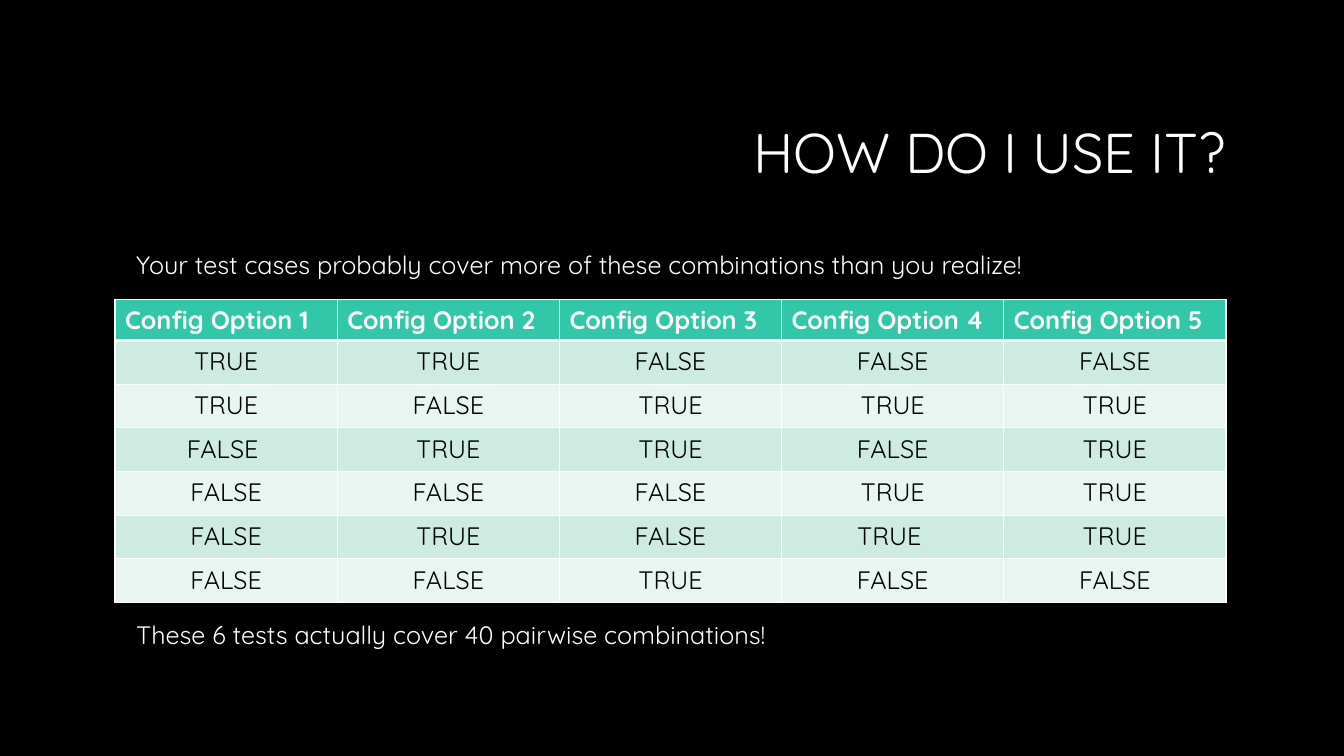
from lxml.etree import SubElement
from pptx import Presentation
from pptx.dml.color import RGBColor
from pptx.enum.text import MSO_ANCHOR as Anchor, PP_ALIGN as Align
from pptx.oxml.ns import qn
from pptx.util import Cm, Pt

FONT = "Quicksand"
WHITE = "FFFFFF"
BLACK = "000000"
HEADER_FILL = "32C7A9"
BAND_FILLS = ["CEEBE2", "E8F5F1"]
TEST_CASES = [
    ["TRUE", "TRUE", "FALSE", "FALSE", "FALSE"],
    ["TRUE", "FALSE", "TRUE", "TRUE", "TRUE"],
    ["FALSE ", "TRUE", "TRUE", "FALSE", "TRUE"],
    ["FALSE", "FALSE", "FALSE", "TRUE", "TRUE"],
    ["FALSE", "TRUE", "FALSE", "TRUE ", "TRUE"],
    ["FALSE", "FALSE", "TRUE", "FALSE", "FALSE"],
]


def paint(fill, color):
    fill.solid()
    fill.fore_color.rgb = RGBColor.from_string(color)


def write(frame, text, size, color, align=Align.LEFT, bold=False):
    frame.text = text
    paragraph = frame.paragraphs[0]
    paragraph.alignment = align
    font = paragraph.runs[0].font
    font.name, font.size, font.bold = FONT, Pt(size), bold
    font.color.rgb = RGBColor.from_string(color)
    return paragraph


def add_text(slide, text, left, top, width, height, size=18, align=Align.LEFT):
    frame = slide.shapes.add_textbox(Cm(left), Cm(top), Cm(width), Cm(height)).text_frame
    frame.word_wrap = True
    write(frame, text, size, WHITE, align)
    return frame


def add_title(slide, text):
    frame = add_text(slide, text, 8.05, 2.13, 23.93, 3.58, 40, Align.RIGHT)
    frame.vertical_anchor = Anchor.MIDDLE
    frame.margin_right = Cm(1.09)
    frame.paragraphs[0].line_spacing = 0.9


def set_borders(cell, top, bottom):
    properties = cell._tc.get_or_add_tcPr()
    for side, points in {"L": 1, "R": 1, "T": top, "B": bottom}.items():
        border = SubElement(properties, qn(f"a:ln{side}"), w=str(Pt(points)))
        fill = SubElement(border, qn("a:solidFill"))
        SubElement(fill, qn("a:srgbClr"), val=WHITE)


def add_options_table(slide, left, top):
    options = [f"Config Option {number}" for number in range(1, 6)]
    rows = [options] + TEST_CASES
    table = slide.shapes.add_table(
        len(rows), len(options), Cm(left), Cm(top), Cm(28), Cm(7.64)
    ).table
    for column in table.columns:
        column.width = Cm(5.6)
    for index, values in enumerate(rows):
        header = index == 0
        table.rows[index].height = Cm(1.04 if header else 1.1)
        for cell, value in zip(table.rows[index].cells, values):
            set_borders(cell, 3 if index == 1 else 1, 3 if header else 1)
            paint(cell.fill, HEADER_FILL if header else BAND_FILLS[(index - 1) % 2])
            write(cell.text_frame, value, 18, WHITE if header else BLACK,
                  Align.LEFT if header else Align.CENTER, header)


def main():
    deck = Presentation()
    deck.slide_width, deck.slide_height = Cm(33.87), Cm(19.05)
    slide = deck.slides.add_slide(deck.slide_layouts[6])
    paint(slide.background.fill, BLACK)
    add_title(slide, "HOW DO I USE IT?")
    add_options_table(slide, 2.9, 7.54)
    add_text(slide, "These 6 tests actually cover 40 pairwise combinations!",
             3.18, 15.49, 26.62, 1.02)
    add_text(slide, "Your test cases probably cover more of these combinations than you realize!",
             3.18, 6.17, 24.18, 1.8)
    deck.save("out.pptx")


if __name__ == "__main__":
    main()
